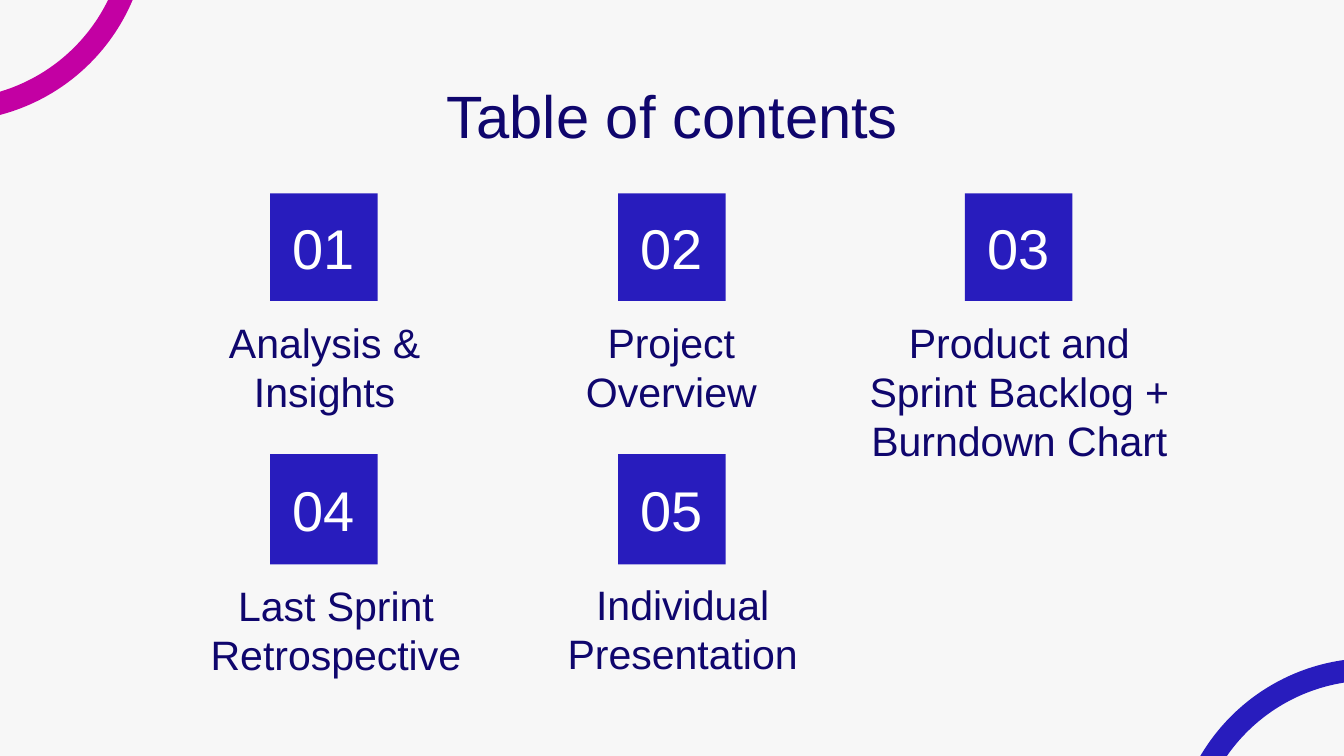
"""Build the table of contents slide with five numbered sections."""
from dataclasses import dataclass

from pptx import Presentation
from pptx.dml.color import RGBColor
from pptx.enum.shapes import MSO_SHAPE
from pptx.enum.text import MSO_ANCHOR, PP_ALIGN
from pptx.util import Inches, Pt


@dataclass(frozen=True)
class Theme:
    font: str = "Arial"
    paper: str = "F7F7F7"
    ink: str = "0F066D"
    blue: str = "281CBD"
    magenta: str = "C300A3"
    white: str = "FFFFFF"
    title_size: int = 32
    number_size: int = 30
    label_size: int = 22
    ring_width: int = 12


def color(code):
    return RGBColor.from_string(code)


def write(shape, text, *, font, size, ink, anchor=MSO_ANCHOR.TOP):
    frame = shape.text_frame
    frame.word_wrap = True
    frame.vertical_anchor = anchor
    frame.margin_left = frame.margin_right = Inches(0.1)
    frame.margin_top = frame.margin_bottom = Inches(0.1)
    para = frame.paragraphs[0]
    para.alignment = PP_ALIGN.CENTER
    span = para.add_run()
    span.text = text
    span.font.name = font
    span.font.size = Pt(size)
    span.font.color.rgb = color(ink)


class ContentsPage:
    def __init__(self, deck, theme):
        self.theme = theme
        self.page = deck.slides.add_slide(deck.slide_layouts[6])
        fill = self.page.background.fill
        fill.solid()
        fill.fore_color.rgb = color(theme.paper)

    def ring(self, left, top, size, ink):
        ring = self.page.shapes.add_shape(
            MSO_SHAPE.OVAL, Inches(left), Inches(top), Inches(size), Inches(size))
        ring.shadow.inherit = False
        ring.fill.background()
        ring.line.color.rgb = color(ink)
        ring.line.width = Pt(self.theme.ring_width)

    def text(self, text, left, top, width, height, size):
        box = self.page.shapes.add_textbox(
            Inches(left), Inches(top), Inches(width), Inches(height))
        write(box, text, font=self.theme.font, size=size, ink=self.theme.ink)

    def tile(self, number, left, top, height):
        tile = self.page.shapes.add_shape(
            MSO_SHAPE.RECTANGLE, Inches(left), Inches(top), Inches(0.8), Inches(height))
        tile.shadow.inherit = False
        tile.fill.solid()
        tile.fill.fore_color.rgb = color(self.theme.blue)
        tile.line.fill.background()
        write(tile, f"{number:02d}", font=self.theme.font, size=self.theme.number_size,
              ink=self.theme.white, anchor=MSO_ANCHOR.MIDDLE)


def main():
    theme = Theme()
    deck = Presentation()
    deck.slide_width = Inches(10)
    deck.slide_height = Inches(10 * 9 / 16)
    contents = ContentsPage(deck, theme)
    contents.ring(8.81, 4.98, 2.79, theme.blue)
    contents.ring(-1.77, -1.97, 2.79, theme.magenta)
    contents.text("Table of contents", 0.79, 0.49, 8.43, 0.63, theme.title_size)

    columns = (2.01, 4.6, 7.18)
    rows = ((1.44, 0.8), (3.38, 0.82))
    sections = (
        ("Analysis & Insights", 1.37, 2.26, 2.09),
        ("Project Overview", 3.95, 2.26, 2.09),
        ("Product and Sprint Backlog + Burndown Chart", 6.28, 2.26, 2.61),
        ("Last Sprint Retrospective", 1.37, 4.22, 2.26),
        ("Individual Presentation", 3.95, 4.21, 2.26),
    )
    for index, (label, left, top, width) in enumerate(sections):
        row, column = divmod(index, len(columns))
        contents.tile(index + 1, columns[column], *rows[row])
        contents.text(label, left, top, width, 0.82, theme.label_size)

    deck.save("out.pptx")


if __name__ == "__main__":
    main()
